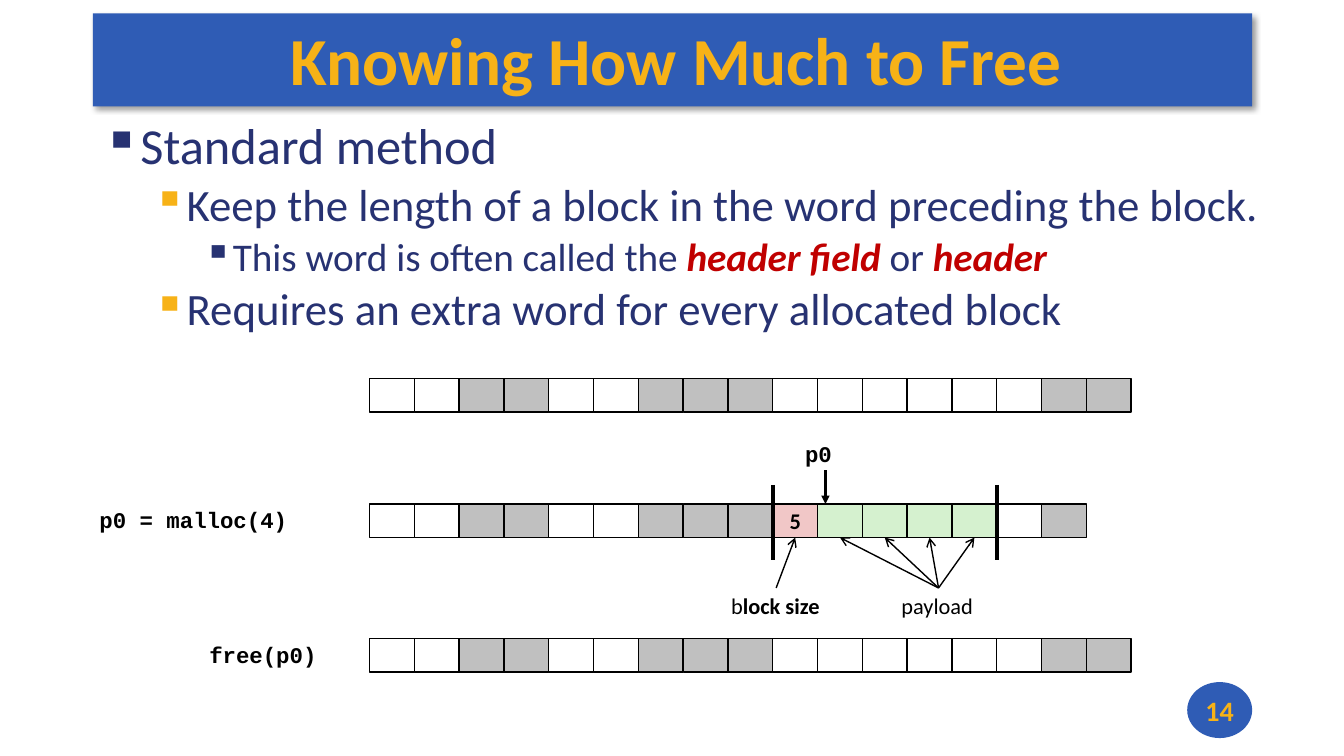
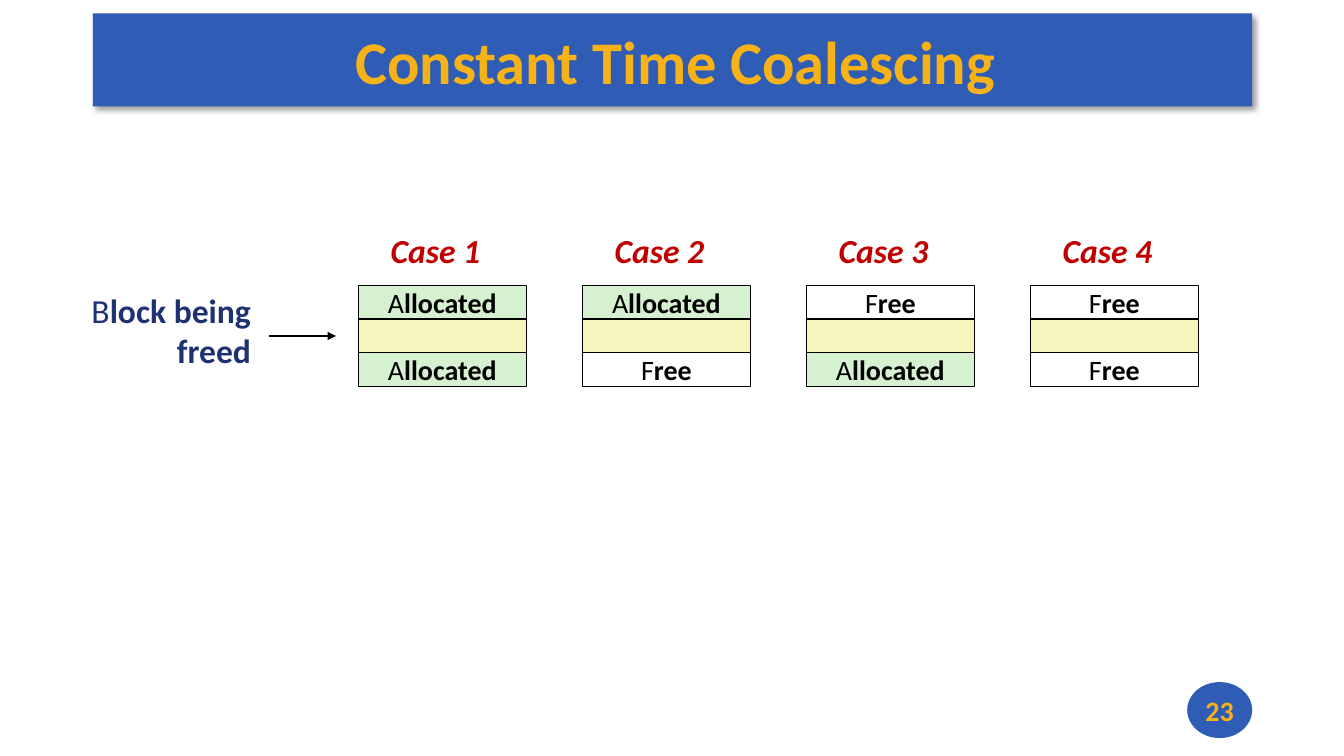
from dataclasses import dataclass

from lxml.etree import SubElement
from pptx import Presentation
from pptx.dml.color import RGBColor
from pptx.enum.shapes import MSO_CONNECTOR, MSO_SHAPE
from pptx.enum.text import MSO_ANCHOR, MSO_AUTO_SIZE, PP_ALIGN
from pptx.oxml.ns import qn
from pptx.util import Emu, Pt

PX = 10160  # EMU in one px, 90 px to the inch


@dataclass(frozen=True)
class Theme:
    blue: str = "2F5CB5"
    gold: str = "F7B217"
    navy: str = "273272"
    deep: str = "1E3272"
    red: str = "C00000"
    black: str = "000000"
    white: str = "FFFFFF"
    gray: str = "C0C0C0"
    green: str = "D5F1CF"
    pink: str = "F1C7C7"
    cream: str = "F6F5BD"
    sans: str = "Calibri"
    mono: str = "Courier New"
    small: float = 16
    mid: float = 20
    large: float = 24
    levels: tuple = (36, 32, 28)


T = Theme()
BOLD = {"bold": True}
TERM = {"bold": True, "italic": True, "ink": T.red}
NOTE = {"name": T.sans, "size": T.small, "ink": T.black}
CODE = {**NOTE, "name": T.mono, "bold": True}
STATE = {**NOTE, "size": T.mid}
CASE = {**TERM, "name": T.sans, "size": T.large}
SIDE = {"name": T.sans, "size": T.large, "ink": T.deep}
BADGE = {"name": T.sans, "size": T.mid, "ink": T.gold, "bold": True}
CELLS = {".": T.white, "#": T.gray, "+": T.green, "H": T.pink}


def px(*vals):
    return [Emu(val * PX) for val in vals]


def rgb(code):
    return RGBColor.from_string(code)


def lead(text):
    """Runs with a plain first letter and the rest bold."""
    return [(text[0], {}), (text[1:], BOLD)]


def write(para, runs, style):
    for text, extra in runs:
        run = para.add_run()
        run.text = text
        look = {**style, **extra}
        look["size"] = Pt(look["size"])
        ink = look.pop("ink")
        for key, val in look.items():
            setattr(run.font, key, val)
        run.font.color.rgb = rgb(ink)


def setup(frame, pads, **look):
    keys = ("margin_left", "margin_top", "margin_right", "margin_bottom")
    for key, val in {**dict(zip(keys, px(*pads))), **look}.items():
        setattr(frame, key, val)


def label(slide, box, lines, style, align=PP_ALIGN.LEFT):
    """Unwrapped text box; each line is a list of runs."""
    shape = slide.shapes.add_textbox(*px(*box))
    frame = shape.text_frame
    setup(frame, (9, 5, 9, 5), word_wrap=False)
    for num, runs in enumerate(lines):
        para = frame.add_paragraph() if num else frame.paragraphs[0]
        para.alignment = align
        para.line_spacing = 0.94 if style["name"] == T.mono else 0.98
        write(para, runs, style)
    return shape


def block(slide, box, fill, runs=(), style=STATE, kind=MSO_SHAPE.RECTANGLE, edge=True):
    shape = slide.shapes.add_shape(kind, *px(*box))
    shape.shadow.inherit = False
    shape.fill.solid()
    shape.fill.fore_color.rgb = rgb(fill)
    if edge:
        shape.line.color.rgb = rgb(T.black)
        shape.line.width = Pt(1)
    else:
        shape.line.fill.background()
    if runs:
        frame = shape.text_frame
        setup(frame, (0, 0, 0, 0), word_wrap=False, vertical_anchor=MSO_ANCHOR.MIDDLE)
        frame.paragraphs[0].alignment = PP_ALIGN.CENTER
        write(frame.paragraphs[0], runs, style)
    return shape


def line(slide, ends, width, tip=None):
    wire = slide.shapes.add_connector(MSO_CONNECTOR.STRAIGHT, *px(*ends))
    wire.line.color.rgb = rgb(T.black)
    wire.line.width = Pt(width)
    if tip:
        SubElement(wire.line._get_or_add_ln(), qn("a:tailEnd"), type=tip)
    SubElement(wire.element.spPr, qn("a:effectLst"))
    return wire


def link(slide, note, cell):
    """Arrow from the top of a note to the bottom of a cell."""
    wire = line(slide, (0, 0, 0, 0), 1, "arrow")
    wire.begin_connect(note, 0)
    wire.end_connect(cell, 2)


def shade(shape):
    """Soft shadow to the lower right."""
    glow = shape.element.spPr.find(qn("a:effectLst"))
    drop = SubElement(glow, qn("a:outerShdw"), blurRad=str(Pt(4)), dist=str(Pt(3)),
                      dir="2700000", algn="tl", rotWithShape="0")
    tone = SubElement(drop, qn("a:srgbClr"), val=T.black)
    SubElement(tone, qn("a:alpha"), val="40000")


def start(deck, text, size, box, page):
    """New slide with title band and page badge."""
    slide = deck.slides.add_slide(deck.slide_layouts[5])
    title = slide.shapes.title
    for key, val in zip(("left", "top", "width", "height"), px(*box)):
        setattr(title, key, val)
    frame = title.text_frame
    setup(frame, (7, 3, 0, 3), word_wrap=True, auto_size=MSO_AUTO_SIZE.NONE,
          vertical_anchor=MSO_ANCHOR.MIDDLE)
    frame.paragraphs[0].alignment = PP_ALIGN.CENTER
    write(frame.paragraphs[0], [(text, {})], {**BADGE, "size": size})
    band = block(slide, (83, 12, 1035, 83), T.blue, edge=False)
    shade(band)
    title.element.addprevious(band.element)
    block(slide, (1060, 609, 58, 50), T.blue, [(page, {})], BADGE, MSO_SHAPE.OVAL, False)
    return slide


def bullets(slide, box, items):
    """Bulleted list; each item is a level and its runs."""
    frame = slide.shapes.add_textbox(*px(*box)).text_frame
    setup(frame, (9, 5, 9, 5), word_wrap=True)
    for num, (level, runs) in enumerate(items):
        para = frame.add_paragraph() if num else frame.paragraphs[0]
        para.level = level
        para.line_spacing = 0.9
        para.space_before = Pt(5 if num else 0)
        props = para._p.get_or_add_pPr()
        props.set("marL", str((23 + 45 * level) * PX))
        props.set("indent", str(-23 * PX))
        tint = SubElement(props, qn("a:buClr"))
        SubElement(tint, qn("a:srgbClr"), val=T.gold if level == 1 else T.navy)
        SubElement(props, qn("a:buChar"), char="▪")
        write(para, runs, {"name": T.sans, "size": T.levels[level], "ink": T.navy})


def row(slide, x, y, marks):
    return [block(slide, (x + 40 * num, y, 40, 30), CELLS[mark],
                  [("5", BOLD)] if mark == "H" else (), NOTE)
            for num, mark in enumerate(marks)]


def heap(slide, x, y):
    """Memory before, during and after one allocation."""
    left, mid, low = x + 250, y + 112, y + 232
    full = "..##..###......##"
    row(slide, left, y, full)
    cells = row(slide, left, mid, "..##..###H++++.#")
    row(slide, left, low, full)
    for text, box in (("p0 = malloc(4)", (x, mid - 1, 188, 32)),
                      ("p0", (x + 630, mid - 60, 42, 32)),
                      ("free(p0)", (x + 98, low - 1, 115, 32))):
        label(slide, box, [[(text, {})]], CODE)
    for edge in (left + 360, left + 560):
        line(slide, (edge, mid - 17, edge, mid + 50), 3)
    line(slide, (x + 657, mid - 30, x + 657, mid), 2, "triangle")
    size = label(slide, (x + 564, mid + 75, 98, 33), [lead("block size")], NOTE)
    load = label(slide, (x + 716, mid + 75, 84, 33), [[("payload", {})]], NOTE)
    link(slide, size, cells[9])
    for cell in cells[10:14]:
        link(slide, load, cell)


def case(slide, x, y, name, above, below):
    label(slide, (x + 20, y - 53, 98, 45), [[(name, {})]], CASE)
    for num, state in enumerate((above, "", below)):
        fill = {"Allocated": T.green, "Free": T.white}.get(state, T.cream)
        block(slide, (x, y + 30 * num, 150, 30), fill, lead(state) if state else ())


def cases(slide, x, y):
    """Four neighbour states of a block being freed."""
    label(slide, (x, y + 1, 161, 81), [lead("Block being"), [("freed", BOLD)]],
          SIDE, PP_ALIGN.RIGHT)
    line(slide, (x + 168, y + 45, x + 228, y + 45), 2, "triangle")
    pairs = [(a, b) for a in ("Allocated", "Free") for b in ("Allocated", "Free")]
    for num, pair in enumerate(pairs):
        case(slide, x + 248 + 200 * num, y, f"Case {num + 1}", *pair)


def main():
    deck = Presentation()
    deck.slide_width, deck.slide_height = px(1200, 675)

    slide = start(deck, "Knowing How Much to Free", 48, (83, 11, 1035, 83), "14")
    bullets(slide, (83, 103, 1055, 492), [
        (0, [("Standard method", {})]),
        (1, [("Keep the length of a block in the word preceding the block.", {})]),
        (2, [("This word is often called the ", {}), ("header field ", TERM),
             ("or ", {}), ("header", TERM)]),
        (1, [("Requires an extra word for every allocated block", {})]),
    ])
    heap(slide, 80, 338)

    slide = start(deck, "Constant Time Coalescing", 43.2, (84, 16, 1031, 76), "23")
    cases(slide, 72, 255)
    deck.save("out.pptx")


if __name__ == "__main__":
    main()
